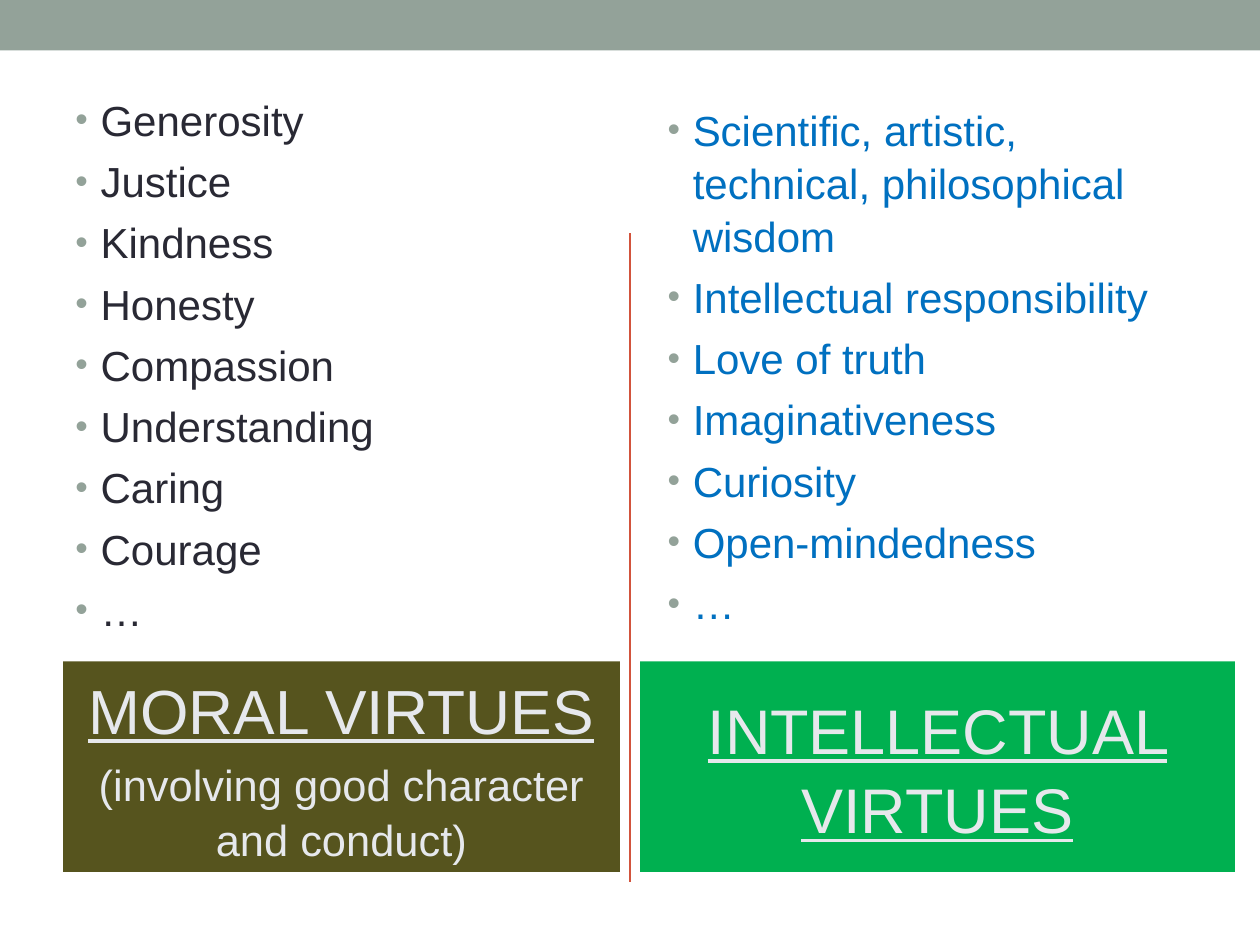
from dataclasses import dataclass
from pptx import Presentation
from pptx.dml.color import RGBColor as Rgb
from pptx.enum.shapes import MSO_CONNECTOR as Conn, MSO_SHAPE as Kind
from pptx.enum.text import MSO_ANCHOR as Anchor, PP_ALIGN as Align
from pptx.oxml.xmlchemy import OxmlElement as Node
from pptx.util import Inches, Pt


@dataclass(frozen=True)
class Theme:
    font: str = "Arial"
    band: str = "93A299"
    rule: str = "D2533C"
    olive: str = "56541E"
    green: str = "00B050"
    pale: str = "E6E8EC"
    dark: str = "292934"
    blue: str = "0070C0"
    body: float = 24
    note: float = 24.8
    head: float = 35.6
    title: float = 36
    lead: float = 1.05   # line spacing
    gap: float = 0.2     # space before, as a share of the type size
    hang: float = 0.2    # bullet indent in inches


T = Theme()
WIDE, HIGH = 10, 7.5
LEFT, RIGHT = (0.5, 4.42), (5.08, 4.72)   # columns: left edge, width
ROW = (5.25, 1.67)                        # label row: top, height

MORAL = ["Generosity", "Justice", "Kindness", "Honesty", "Compassion",
         "Understanding", "Caring", "Courage", "…"]
MIND = ["Scientific, artistic, technical, philosophical wisdom",
        "Intellectual responsibility", "Love of truth", "Imaginativeness",
        "Curiosity", "Open-mindedness", "…"]


def bullet(para):
    props = para._p.get_or_add_pPr()
    props.set("marL", str(Inches(T.hang)))
    props.set("indent", str(-Inches(T.hang)))
    tint = Node("a:buClr")
    rgb = Node("a:srgbClr")
    rgb.set("val", T.band)
    tint.append(rgb)
    size = Node("a:buSzPct")
    size.set("val", "85000")
    face = Node("a:buFont")
    face.set("typeface", T.font)
    mark = Node("a:buChar")
    mark.set("char", "•")
    for part in (tint, size, face, mark):
        props.append(part)


def write(frame, text, size=T.body, color=T.dark, align=Align.LEFT,
          under=False, dot=False):
    """Add one paragraph, filling the empty first one if it is free."""
    first = frame.paragraphs[0]
    para = frame.add_paragraph() if first.runs else first
    para.alignment = align
    para.line_spacing = T.lead
    para.space_before = Pt(size * T.gap)
    if dot:
        bullet(para)
    run = para.add_run()
    run.text = text
    font = run.font
    font.name, font.size, font.underline = T.font, Pt(size), under
    font.color.rgb = Rgb.from_string(color)


def block(slide, x, y, w, h, color):
    box = slide.shapes.add_shape(Kind.RECTANGLE, *map(Inches, (x, y, w, h)))
    box.shadow.inherit = False
    box.fill.solid()
    box.fill.fore_color.rgb = Rgb.from_string(color)
    box.line.fill.background()
    return box


def rule(slide, x, top, end):
    line = slide.shapes.add_connector(
        Conn.STRAIGHT, *map(Inches, (x, top, x, end)))
    line.line.color.rgb = Rgb.from_string(T.rule)
    line.line.width = Pt(1.5)
    line._element.spPr.append(Node("a:effectLst"))


def label(slide, col, color, lines):
    frame = block(slide, col[0], ROW[0], col[1], ROW[1], color).text_frame
    frame.word_wrap = True
    frame.vertical_anchor = Anchor.MIDDLE
    for text, size, under in lines:
        write(frame, text, size=size, color=T.pale, align=Align.CENTER,
              under=under)


def points(slide, x, y, w, h, items, color):
    box = slide.shapes.add_textbox(*map(Inches, (x, y, w, h)))
    box.text_frame.word_wrap = True
    for item in items:
        write(box.text_frame, item, color=color, dot=True)


def main():
    deck = Presentation()
    deck.slide_width, deck.slide_height = Inches(WIDE), Inches(HIGH)
    slide = deck.slides.add_slide(deck.slide_layouts[6])

    # Top band and centre rule
    block(slide, 0, 0, WIDE, 0.4, T.band)
    rule(slide, WIDE / 2, 1.85, 7)

    # Moral virtues
    label(slide, LEFT, T.olive, [
        ("MORAL VIRTUES", T.head, True),
        ("(involving good character and conduct)", T.note, False)])
    points(slide, LEFT[0], 0.68, LEFT[1], ROW[0] - 0.68, MORAL, T.dark)

    # Intellectual virtues
    label(slide, RIGHT, T.green, [("INTELLECTUAL VIRTUES", T.title, True)])
    points(slide, 5.2, 0.76, 4.3, 6.23, MIND, T.blue)

    deck.save("out.pptx")


if __name__ == "__main__":
    main()
